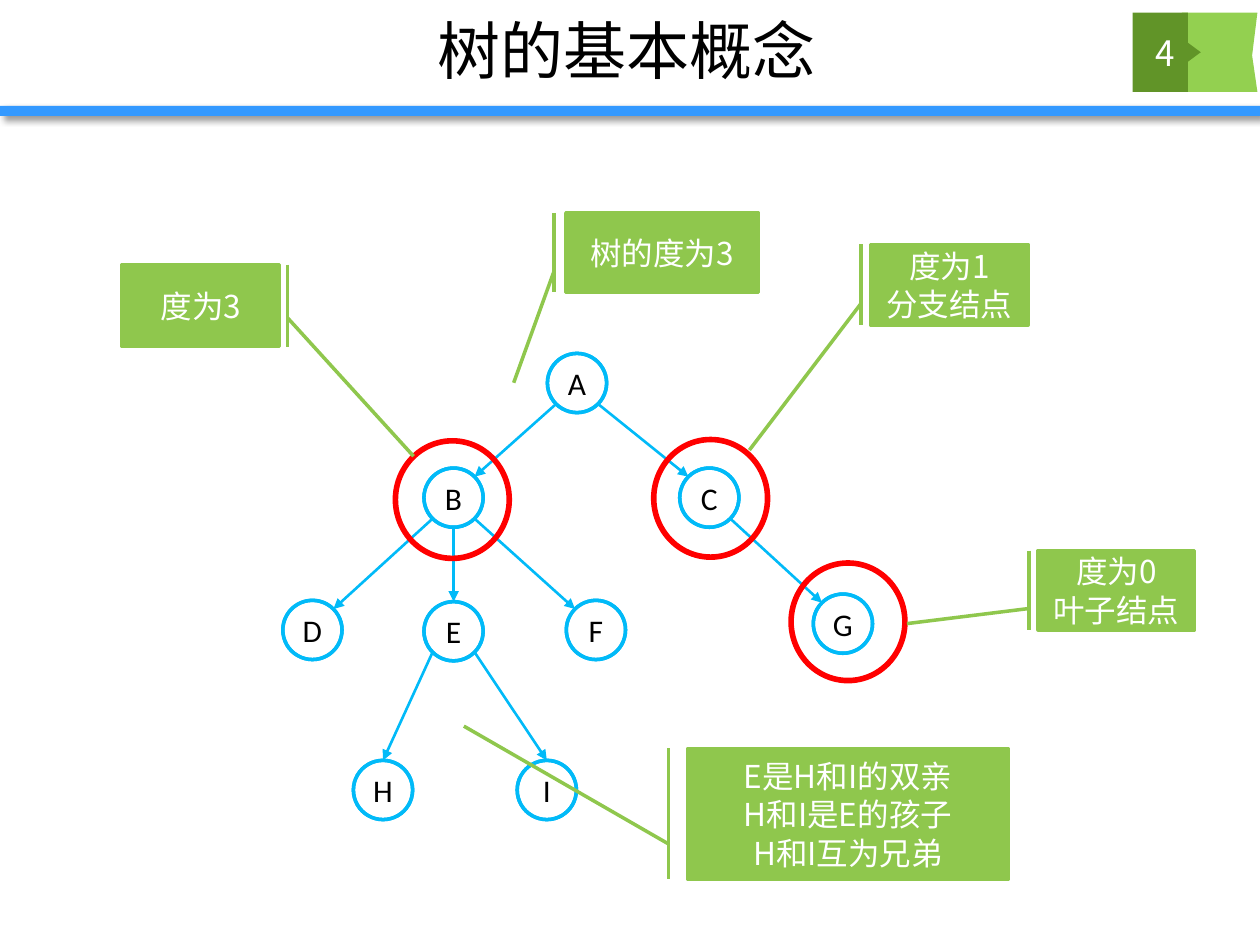
import math
import pptx
import pptx.dml.color
import pptx.enum.shapes
import pptx.enum.text
import pptx.oxml
import pptx.oxml.ns
import pptx.util

SHAPE = pptx.enum.shapes.MSO_SHAPE
COLUMNS, ROWS = 100, 75
CELL = pptx.util.Inches(10) // COLUMNS
HAN, LATIN = "Noto Sans CJK SC", "Calibri"
BLUE, BAR_BLUE, RED, WHITE, BLACK = "01BAF8", "3399FF", "FF0000", "FFFFFF", "000000"
LIME, LEAF, MOSS = "8FC74D", "93D050", "619428"
NODE = 4.7
RING = (9.2, 9.5)


def cells(*counts):
    return [pptx.util.Emu(round(count * CELL)) for count in counts]


def color(hex_text):
    return pptx.dml.color.RGBColor.from_string(hex_text)


def add_xml(parent, tag, attributes="", inner=""):
    namespace = pptx.oxml.ns.nsdecls("a")
    parent.append(pptx.oxml.parse_xml(f"<a:{tag} {namespace} {attributes}>{inner}</a:{tag}>"))


def paint(shape, fill, line=None, width=2):
    shape.shadow.inherit = False
    shape.fill.solid()
    shape.fill.fore_color.rgb = color(fill)
    if line:
        shape.line.color.rgb = color(line)
        shape.line.width = pptx.util.Pt(width)
    else:
        shape.line.fill.background()


def write(shape, lines, size, face, ink, spacing=None, **margins):
    frame = shape.text_frame
    settings = {"word_wrap": True, "vertical_anchor": pptx.enum.text.MSO_ANCHOR.MIDDLE, **margins}
    for key, value in settings.items():
        setattr(frame, key, value)
    for index, line in enumerate(lines):
        paragraph = frame.paragraphs[0] if index == 0 else frame.add_paragraph()
        paragraph.alignment = pptx.enum.text.PP_ALIGN.CENTER
        if spacing:
            paragraph.line_spacing = pptx.util.Pt(spacing)
        run = paragraph.add_run()
        run.text = line
        for key, value in {"size": pptx.util.Pt(size), "name": face}.items():
            setattr(run.font, key, value)
        run.font.color.rgb = color(ink)
        add_xml(run.font._element, "ea", f'typeface="{face}"')


def add_outline(slide, box, shares, fill):
    """Closed outline whose points are shares of the box."""
    left, top, width, height = box
    points = [cells(left + x * width, top + y * height) for x, y in shares]
    builder = slide.shapes.build_freeform(*points[0])
    builder.add_line_segments(points[1:], close=True)
    paint(builder.convert_to_shape(), fill)


def add_header(slide, box, title, number):
    left, top, width, height = box
    bar_height = 0.8
    bar = slide.shapes.add_shape(SHAPE.RECTANGLE, *cells(left, top + height - bar_height, width, bar_height))
    paint(bar, BAR_BLUE)
    add_xml(bar._element.spPr.find(pptx.oxml.ns.qn("a:effectLst")), "outerShdw",
            'blurRad="50800" dist="38100" dir="2700000" algn="tl" rotWithShape="0"',
            '<a:srgbClr val="000000"><a:alpha val="40000"/></a:srgbClr>')
    heading = slide.shapes.add_textbox(*cells(left + 9.8, top + 0.1, 79.9, 7.7))
    write(heading, [title], 36, HAN, BLACK)
    add_page_tag(slide, (left + 89.9, top + 1, 9.9, 6.3), number)


def add_page_tag(slide, box, number):
    left, top, width, height = box
    add_outline(slide, (left + 3.9, top, 6, height),
                [(0, 0), (1, 0), (0.93, 0.54), (1, 1), (0, 1)], LEAF)
    add_outline(slide, (left, top, 5.4, height),
                [(0, 0), (0.81, 0), (0.81, 0.38), (1, 0.5), (0.81, 0.62), (0.81, 1), (0, 1)], MOSS)
    label = slide.shapes.add_textbox(*cells(left - 0.5, top, 6.2, height))
    write(label, [number], 20, HAN, WHITE)


def rim_point(center, side):
    """Point on a node's rim; side is a pair of signs, right and down positive."""
    reach = NODE / 2 / math.hypot(*side)
    return [place + sign * reach for place, sign in zip(center, side)]


def add_tree(slide, box, nodes, edges):
    left, top, _, _ = box
    centers = {name: (left + x, top + y) for name, (x, y) in nodes.items()}
    for parent, child, leaving, entering in edges:
        ends = rim_point(centers[parent], leaving) + rim_point(centers[child], entering)
        arrow = slide.shapes.add_connector(pptx.enum.shapes.MSO_CONNECTOR.STRAIGHT, *cells(*ends))
        arrow.line.color.rgb = color(BLUE)
        arrow.line.width = pptx.util.Pt(1.5)
        add_xml(arrow.line._get_or_add_ln(), "tailEnd", 'type="triangle"')
        add_xml(arrow._element.spPr, "effectLst")
    for name, (x, y) in centers.items():
        node = slide.shapes.add_shape(SHAPE.DONUT, *cells(x - NODE / 2, y - NODE / 2, NODE, NODE))
        node.adjustments[0] = 0
        paint(node, MOSS, BLUE)
        write(node, [name], 18, LATIN, BLACK, margin_left=0, margin_right=0)


def add_ring(slide, corner):
    ring = slide.shapes.add_shape(SHAPE.DONUT, *cells(*corner, *RING))
    ring.adjustments[0] = 0.018
    paint(ring, RED, RED)


def add_callout(slide, box, lines, pointer):
    """Pointer gives the leader's start and end as y, x shares of the box."""
    callout = slide.shapes.add_shape(SHAPE.LINE_CALLOUT_1_BORDER_AND_ACCENT_BAR, *cells(*box))
    for index, share in enumerate(pointer):
        callout.adjustments[index] = share
    paint(callout, LIME, LIME)
    write(callout, lines, 18, HAN, WHITE, spacing=22)


def main():
    deck = pptx.Presentation()
    deck.slide_width, deck.slide_height = cells(COLUMNS, ROWS)
    slide = deck.slides.add_slide(deck.slide_layouts[6])
    add_header(slide, (0, 0, COLUMNS, 9.2), "树的基本概念", "4")

    up, down = (0, -1), (0, 1)
    down_left, down_right, up_left, up_right = (-1, 1), (1, 1), (-1, -1), (1, -1)
    nodes = {"A": (23.3, 2.3), "B": (13.5, 11.4), "C": (33.8, 11.4), "D": (2.3, 21.9), "E": (13.5, 22),
             "F": (24.8, 21.9), "G": (44.4, 21.4), "H": (7.9, 34.6), "I": (20.9, 34.6)}
    edges = [("A", "B", down_left, up_right), ("A", "C", down_right, up_left),
             ("B", "D", down_left, up_right), ("B", "E", down, up), ("B", "F", down_right, up_left),
             ("C", "G", down_right, up_left), ("E", "H", down_left, up), ("E", "I", down_right, up)]
    add_tree(slide, (22.5, 28.1, 46.8, 36.8), nodes, edges)
    for corner in [(31.3, 34.9), (51.8, 34.8), (62.7, 44.6)]:
        add_ring(slide, corner)

    from_left = (0.73, -0.06)
    callouts = [
        ((9.7, 21, 12.5, 6.5), ["度为3"], (0.65, 1.05, 2.34, 1.85)),
        ((69.1, 19.4, 12.5, 6.4), ["度为1", "分支结点"], (*from_left, 2.55, -0.77)),
        ((82.4, 43.7, 12.4, 6.3), ["度为0", "叶子结点"], (*from_left, 0.92, -0.84)),
        ((44.9, 16.9, 15.3, 6.3), ["树的度为3"], (*from_left, 2.14, -0.27)),
        ((54.6, 59.4, 25.4, 10.4), ["E是H和I的双亲", "H和I是E的孩子", "H和I互为兄弟"], (*from_left, -0.17, -0.7)),
    ]
    for box, lines, pointer in callouts:
        add_callout(slide, box, lines, pointer)
    deck.save("out.pptx")


if __name__ == "__main__":
    main()
